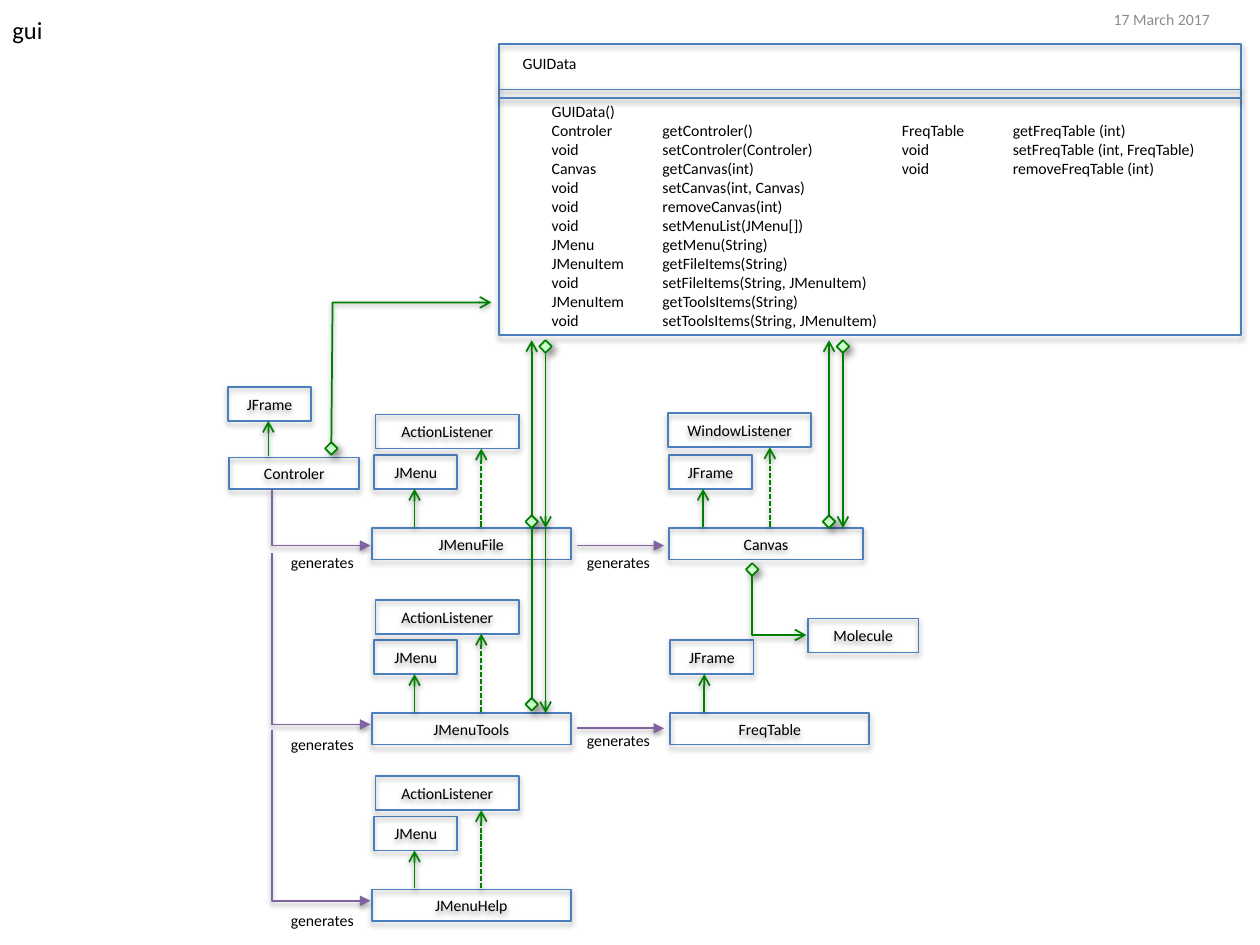
from dataclasses import dataclass

from lxml.etree import SubElement
from pptx import Presentation
from pptx.dml.color import RGBColor
from pptx.enum.dml import MSO_LINE as Dash
from pptx.enum.shapes import MSO_CONNECTOR as Connector, MSO_SHAPE as Shape
from pptx.enum.text import MSO_ANCHOR as Anchor, MSO_AUTO_SIZE as AutoSize, PP_ALIGN as Align
from pptx.oxml.ns import qn
from pptx.util import Inches, Pt


@dataclass(frozen=True)
class Theme:
    """Colours, type sizes and shadows of the diagram."""
    font: str = "Calibri"
    title: float = 14
    body: float = 9
    stroke: float = 1
    ink: str = "000000"
    muted: str = "8C8C8C"
    outline: str = "4B7EBC"
    divider: str = "4F81BD"
    relation: str = "008000"
    generates: str = "8064A2"
    diamond: str = "CCFFCC"
    box_shadow: tuple = (35, 3.1, 1.8, 90)
    line_shadow: tuple = (38, 3.1, 1.6, 90)
    diamond_shadow: tuple = (43, 4, 3, 45)


@dataclass(frozen=True)
class Box:
    """A rectangle in inches."""
    left: float
    top: float
    width: float
    height: float

    def inside(self, dx, dy, width, height):
        """Return a box placed relative to this one."""
        return Box(self.left + dx, self.top + dy, width, height)

    def lengths(self):
        """Return the four sides as slide lengths."""
        return [Inches(side) for side in (self.left, self.top, self.width, self.height)]


THEME = Theme()
CLASS_HEIGHT, PARENT_HEIGHT, DIAMOND = 0.25, 0.27, 0.1
MENU_PARENTS = [("JMenu", 0.02, -0.58, 0.66, 0.34, None),
                ("ActionListener", 0.03, -0.9, 1.14, 0.87, Dash.SQUARE_DOT)]
FRAME_PARENT = ("JFrame", 0, -0.58, 0.66, 0.27, None)
WINDOW_PARENT = ("WindowListener", -0.01, -0.91, 1.14, 0.8, Dash.SQUARE_DOT)
CONTROLER_PARENT = ("JFrame", -0.01, -0.56, 0.66, 0.31, None)
CLASSES = [
    ("Controler", Box(1.82, 3.63, 1.03, CLASS_HEIGHT), [CONTROLER_PARENT]),
    ("JMenuFile", Box(2.95, 4.19, 1.58, CLASS_HEIGHT), MENU_PARENTS),
    ("JMenuTools", Box(2.95, 5.66, 1.58, CLASS_HEIGHT), MENU_PARENTS),
    ("JMenuHelp", Box(2.95, 7.06, 1.58, CLASS_HEIGHT), MENU_PARENTS),
    ("Canvas", Box(5.31, 4.19, 1.54, CLASS_HEIGHT), [FRAME_PARENT, WINDOW_PARENT]),
    ("FreqTable", Box(5.32, 5.66, 1.58, CLASS_HEIGHT), [FRAME_PARENT]),
    ("Molecule", Box(6.41, 4.91, 0.88, PARENT_HEIGHT), []),
]
GENERATES = [
    ([(2.16, 3.88), (2.16, 4.33), (2.94, 4.33)], (2.21, 4.34)),
    ([(2.16, 4.39), (2.16, 5.75), (2.94, 5.75)], (2.21, 5.78)),
    ([(2.16, 5.79), (2.16, 7.15), (2.94, 7.15)], (2.21, 7.18)),
    ([(4.58, 4.33), (5.27, 4.33)], (4.56, 4.34)),
    ([(4.58, 5.78), (5.27, 5.78)], (4.56, 5.75)),
]
OWNERSHIPS = [
    ([(4.22, 4.09), (4.22, 2.7)], "arrow"),
    ([(4.33, 2.8), (4.33, 4.19)], "arrow"),
    ([(6.58, 4.09), (6.58, 2.7)], "arrow"),
    ([(6.69, 2.8), (6.69, 4.19)], "arrow"),
    ([(4.22, 5.54), (4.22, 4.18)], None),
    ([(5.97, 4.57), (5.97, 5.04), (6.4, 5.04)], "arrow"),
    ([(2.63, 3.51), (2.64, 2.4), (3.9, 2.4)], "arrow"),
]
DATA_METHODS = [
    "GUIData()", "Controler\tgetControler()", "void\tsetControler(Controler)",
    "Canvas\tgetCanvas(int)", "void\tsetCanvas(int, Canvas)", "void\tremoveCanvas(int)",
    "void\tsetMenuList(JMenu[])", "JMenu\tgetMenu(String)", "JMenuItem\tgetFileItems(String)",
    "void\tsetFileItems(String, JMenuItem)", "JMenuItem\tgetToolsItems(String)",
    "void\tsetToolsItems(String, JMenuItem)",
]
TABLE_METHODS = ["FreqTable\tgetFreqTable (int)", "void\tsetFreqTable (int, FreqTable)",
                 "void\tremoveFreqTable (int)"]


def apply(target, **values):
    """Set each named format value on the target."""
    for name, value in values.items():
        setattr(target, name, value)


def cast_shadow(shape, shadow):
    """Give a shape an outer shadow of (opacity, blur, distance, angle)."""
    opacity, blur, distance, angle = shadow
    effects = SubElement(shape.element.spPr, qn("a:effectLst"))
    outer = SubElement(effects, qn("a:outerShdw"), blurRad=str(Pt(blur)), dist=str(Pt(distance)),
                       dir=str(angle * 60000), rotWithShape="0")
    color = SubElement(outer, qn("a:srgbClr"), val=THEME.ink)
    SubElement(color, qn("a:alpha"), val=str(opacity * 1000))


def stroke(shape, color, shadow):
    """Draw the outline of a shape and its shadow."""
    shape.line.color.rgb = RGBColor.from_string(color)
    shape.line.width = Pt(THEME.stroke)
    cast_shadow(shape, shadow)


def write(frame, lines, size=THEME.body, color=THEME.ink, align=None, tab=None):
    """Fill a text frame with one paragraph a line."""
    for index, line in enumerate(lines):
        para = frame.add_paragraph() if index else frame.paragraphs[0]
        if align is not None:
            para.alignment = align
        if tab:
            stops = SubElement(para._p.get_or_add_pPr(), qn("a:tabLst"))
            SubElement(stops, qn("a:tab"), pos=str(Inches(tab)), algn="l")
        span = para.add_run()
        span.text = line
        apply(span.font, name=THEME.font, size=Pt(size))
        span.font.color.rgb = RGBColor.from_string(color)


def label(page, box, lines, wrap=False, anchor=Anchor.TOP, fit=AutoSize.SHAPE_TO_FIT_TEXT, **style):
    """Place a text box."""
    frame = page.shapes.add_textbox(*box.lengths()).text_frame
    apply(frame, word_wrap=wrap, vertical_anchor=anchor, auto_size=fit)
    write(frame, lines, **style)


def class_box(page, box, name=None):
    """Place an outlined box with an optional class name."""
    shape = page.shapes.add_shape(Shape.RECTANGLE, *box.lengths())
    shape.fill.background()
    stroke(shape, THEME.outline, THEME.box_shadow)
    if name:
        shape.text_frame.vertical_anchor = Anchor.MIDDLE
        write(shape.text_frame, [name], align=Align.CENTER)


def link(page, points, color, head=None, dash=None):
    """Draw a straight or bent line through points, with an optional arrowhead."""
    places = [(Inches(x), Inches(y)) for x, y in points]
    if len(places) == 2:
        line = page.shapes.add_connector(Connector.STRAIGHT, *places[0], *places[1])
    else:
        builder = page.shapes.build_freeform(*places[0])
        builder.add_line_segments(places[1:], close=False)
        line = builder.convert_to_shape()
        line.fill.background()
    stroke(line, color, THEME.line_shadow)
    if dash:
        line.line.dash_style = dash
    if head:
        SubElement(line.line._get_or_add_ln(), qn("a:tailEnd"), type=head)


def class_stack(page, box, name, parents):
    """Place a class with its parent classes above it."""
    class_box(page, box, name)
    for parent, dx, dy, width, arrow_dx, dash in parents:
        class_box(page, box.inside(dx, dy, width, PARENT_HEIGHT), parent)
        x = box.left + arrow_dx
        link(page, [(x, box.top - 0.01), (x, box.top + dy + PARENT_HEIGHT)],
             THEME.relation, "arrow", dash)


def ownership(page, points, head):
    """Draw a relation that starts at a diamond."""
    (x, y), (_, next_y) = points[:2]
    top = y if next_y < y else y - DIAMOND
    box = Box(x - DIAMOND / 2, top, DIAMOND, DIAMOND)
    diamond = page.shapes.add_shape(Shape.DIAMOND, *box.lengths())
    diamond.fill.solid()
    diamond.fill.fore_color.rgb = RGBColor.from_string(THEME.diamond)
    stroke(diamond, THEME.relation, THEME.diamond_shadow)
    link(page, points, THEME.relation, head)


def data_class(page, box):
    """Place the data class with its name and two columns of methods."""
    class_box(page, box)
    for dy in (0.36, 0.43):
        y = box.top + dy
        link(page, [(box.left, y), (box.left + box.width, y)], THEME.divider)
    label(page, box.inside(0.09, 0.03, 0.64, 0.25), ["GUIData"])
    label(page, box.inside(0.32, 0.41, 2.8, 1.92), DATA_METHODS, wrap=True, tab=0.88)
    label(page, box.inside(3.1, 0.56, 2.66, 0.56), TABLE_METHODS, wrap=True, tab=0.88)


def class_diagram(page):
    """Place the whole class diagram."""
    label(page, Box(0, 0.07, 0.44, 0.34), ["gui"], size=THEME.title)
    label(page, Box(8.74, 0.01, 1.26, 0.29), ["17 March 2017"], wrap=True,
          anchor=Anchor.MIDDLE, fit=AutoSize.NONE, color=THEME.muted)
    data_class(page, Box(3.96, 0.35, 5.89, 2.31))
    for name, box, parents in CLASSES:
        class_stack(page, box, name, parents)
    for points, (left, top) in GENERATES:
        link(page, points, THEME.generates, "triangle")
        label(page, Box(left, top, 0.71, 0.25), ["generates"])
    for points, head in OWNERSHIPS:
        ownership(page, points, head)
    link(page, [(4.33, 4.19), (4.33, 5.66)], THEME.relation, "arrow")


def main():
    """Build and save the deck."""
    deck = Presentation()
    apply(deck, slide_width=Inches(10), slide_height=Inches(7.5))
    class_diagram(deck.slides.add_slide(deck.slide_layouts[6]))
    deck.save("out.pptx")


if __name__ == "__main__":
    main()
